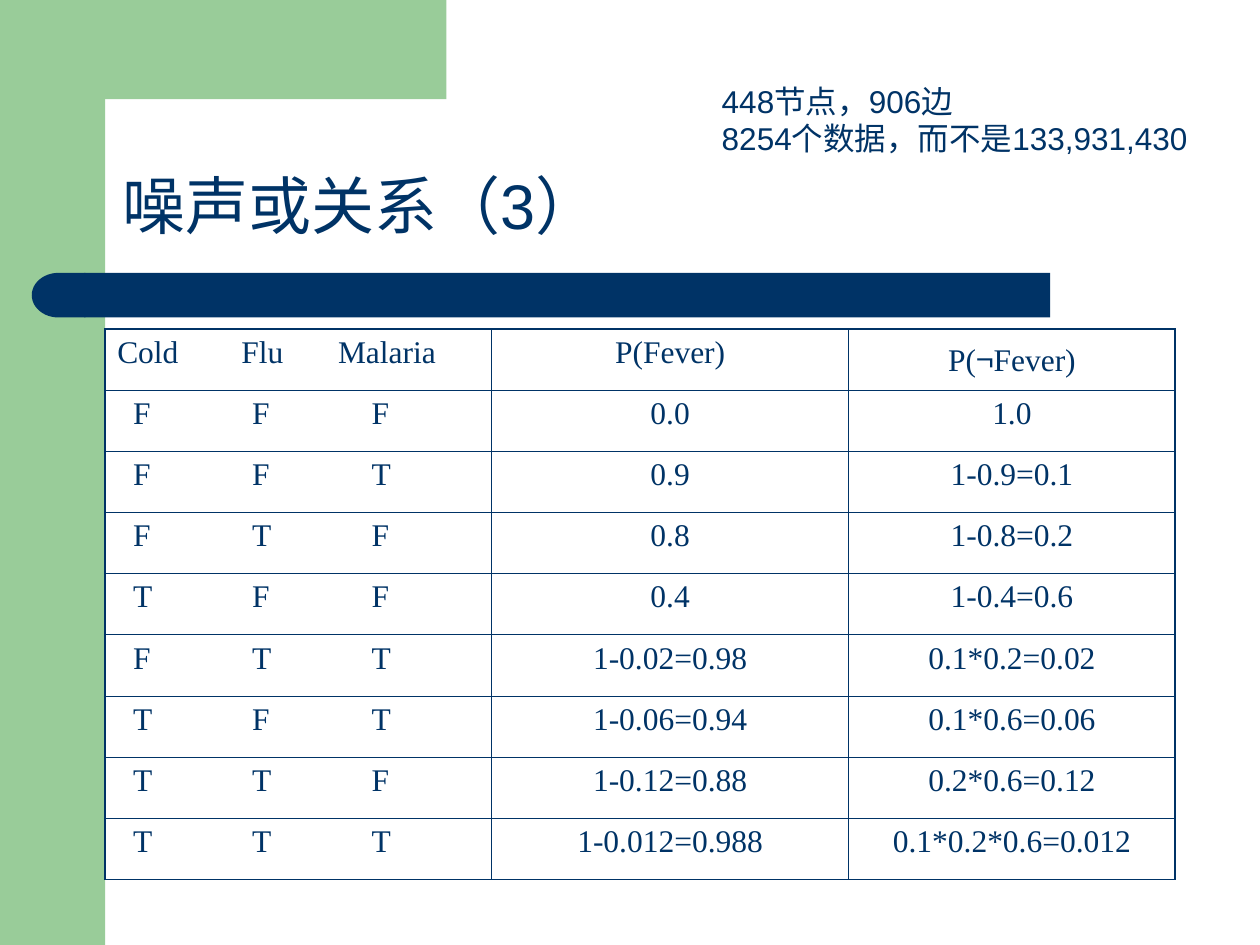
import math

from lxml import etree
from pptx import Presentation
from pptx.dml.color import RGBColor
from pptx.enum.shapes import MSO_SHAPE
from pptx.enum.text import MSO_ANCHOR, PP_ALIGN
from pptx.oxml.ns import qn
from pptx.util import Cm, Pt

RECTANGLE = MSO_SHAPE.RECTANGLE
DELAY = MSO_SHAPE.FLOWCHART_DELAY
TOP, BOTTOM = MSO_ANCHOR.TOP, MSO_ANCHOR.BOTTOM
LEFT, CENTER = PP_ALIGN.LEFT, PP_ALIGN.CENTER

NAVY = "003366"
GREEN = "99CC99"
SANS = "Arial"
SERIF = "Times New Roman"
SYMBOL_FONT = "Noto Sans CJK SC"

HEADER_STOPS = (2.5, 4.45)
TRUTH_STOPS = (0.32, 2.72, 5.13)
COLUMN_WIDTHS = (7.8, 7.2, 6.58)
THICK, THIN = 1.08, 0.45

PROBABILITIES = [
    ("FFF", "0.0", "1.0"),
    ("FFT", "0.9", "1-0.9=0.1"),
    ("FTF", "0.8", "1-0.8=0.2"),
    ("TFF", "0.4", "1-0.4=0.6"),
    ("FTT", "1-0.02=0.98", "0.1*0.2=0.02"),
    ("TFT", "1-0.06=0.94", "0.1*0.6=0.06"),
    ("TTF", "1-0.12=0.88", "0.2*0.6=0.12"),
    ("TTT", "1-0.012=0.988", "0.1*0.2*0.6=0.012"),
]


def rgb(color):
    return RGBColor.from_string(color)


def paint(shape, color):
    shape.shadow.inherit = False
    shape.fill.solid()
    shape.fill.fore_color.rgb = rgb(color)
    shape.line.fill.background()


def add_block(slide, kind, left, top, width, height, color):
    block = slide.shapes.add_shape(kind, Cm(left), Cm(top), Cm(width), Cm(height))
    paint(block, color)
    return block


def add_corner(slide):
    center, radius, steps = 2.96, 0.84, 16
    angles = [math.pi / 2 * step / steps for step in range(steps + 1)]
    curve = [(center - radius * math.sin(a), center - radius * math.cos(a)) for a in angles]
    outline = [(8.89, 0), (8.89, 2.12), *curve, (2.12, 3.25), (1.27, 3.25)]
    builder = slide.shapes.build_freeform(1.27, 0, scale=Cm(1))
    builder.add_line_segments(outline, close=True)
    paint(builder.convert_to_shape(), GREEN)


def style(paragraph, size, font_name):
    font = paragraph.font
    font.size = Pt(size)
    font.name = font_name
    font.color.rgb = rgb(NAVY)


def add_text(slide, left, top, width, height, lines, size, anchor=TOP, spacing=1.0):
    frame = slide.shapes.add_textbox(Cm(left), Cm(top), Cm(width), Cm(height)).text_frame
    frame.word_wrap = True
    frame.vertical_anchor = anchor
    frame.text = "\n".join(lines)
    for paragraph in frame.paragraphs:
        paragraph.line_spacing = spacing
        style(paragraph, size, SANS)


def set_tabs(paragraph, stops):
    tabs = etree.SubElement(paragraph._p.get_or_add_pPr(), qn("a:tabLst"))
    for stop in stops:
        etree.SubElement(tabs, qn("a:tab"), pos=str(Cm(stop)), algn="l")


def set_border(cell, side, width):
    line = etree.SubElement(cell._tc.get_or_add_tcPr(), qn(f"a:ln{side}"), w=str(Pt(width)))
    fill = etree.SubElement(line, qn("a:solidFill"))
    etree.SubElement(fill, qn("a:srgbClr"), val=NAVY)


def fill_cell(cell, text, stops, outer_sides):
    for side in "LRTB":
        set_border(cell, side, THICK if side in outer_sides else THIN)
    cell.fill.background()
    paragraph = cell.text_frame.paragraphs[0]
    paragraph.alignment = LEFT if stops else CENTER
    if stops:
        set_tabs(paragraph, stops)
    style(paragraph, 18, SERIF)
    before, negation, after = text.partition("¬")
    for part in filter(None, (before, negation, after)):
        run = paragraph.add_run()
        run.text = part
        if part == "¬":
            run.font.name = SYMBOL_FONT


def add_probability_table(slide):
    rows = [("Cold\tFlu\tMalaria", "P(Fever)", "P(¬Fever)")]
    rows += [("\t" + "\t".join(truth), fever, no_fever) for truth, fever, no_fever in PROBABILITIES]
    last_row, last_column = len(rows) - 1, len(COLUMN_WIDTHS) - 1
    table = slide.shapes.add_table(
        len(rows), len(COLUMN_WIDTHS), Cm(2.11), Cm(6.63), Cm(sum(COLUMN_WIDTHS)), Cm(11.1)
    ).table
    for column, width in zip(table.columns, COLUMN_WIDTHS):
        column.width = Cm(width)
    for r, row in enumerate(rows):
        for c, text in enumerate(row):
            edges = {"L": c == 0, "R": c == last_column, "T": r == 0, "B": r == last_row}
            outer_sides = [side for side, is_outer in edges.items() if is_outer]
            stops = () if c else TRUTH_STOPS if r else HEADER_STOPS
            fill_cell(table.cell(r, c), text, stops, outer_sides)


def main():
    deck = Presentation()
    deck.slide_width, deck.slide_height = Cm(25.4), Cm(19.05)
    slide = deck.slides.add_slide(deck.slide_layouts[6])

    add_block(slide, RECTANGLE, 0, 0, 2.12, 19.05, GREEN)
    add_corner(slide)
    add_block(slide, RECTANGLE, 1.7, 5.5, 19.47, 0.9, NAVY)
    bar_end = add_block(slide, DELAY, 0.64, 5.5, 1.08, 0.9, NAVY)
    bar_end.rotation = 180

    add_text(slide, 2.22, 3.25, 21.34, 1.78, ["噪声或关系（3）"], 36, BOTTOM, 0.9)
    add_probability_table(slide)
    add_text(slide, 14.3, 1.52, 10, 2.54, ["448节点，906边", "8254个数据，而不是133,931,430"], 18)

    deck.save("out.pptx")


if __name__ == "__main__":
    main()
